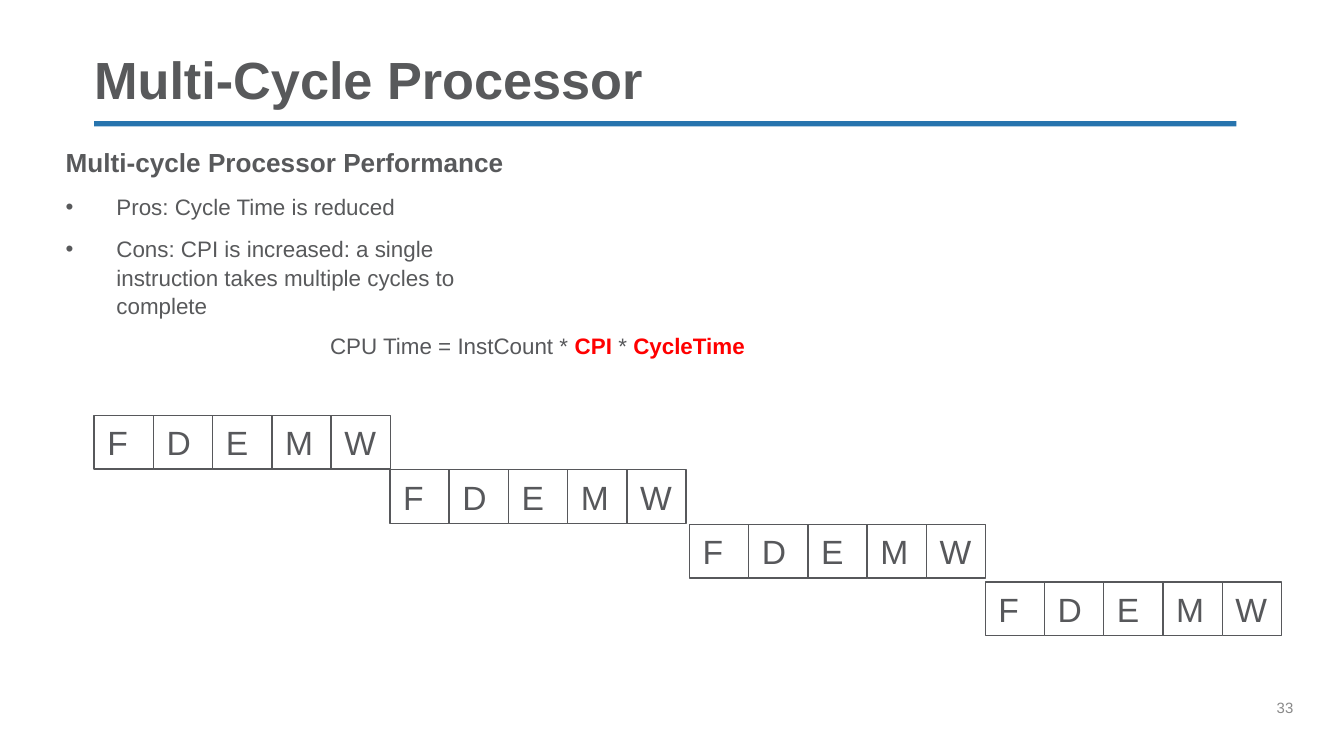
from lxml.etree import SubElement
from pptx import Presentation
from pptx.dml.color import RGBColor
from pptx.enum.shapes import MSO_SHAPE
from pptx.enum.text import MSO_ANCHOR, MSO_AUTO_SIZE, PP_ALIGN
from pptx.oxml.ns import qn
from pptx.util import Cm, Pt

COLOURS = {
    "heading": "58595B",
    "text": "57585B",
    "accent": "FF0000",
    "rule": "2774AE",
    "number": "898989",
    "cell": "FFFFFF",
}


def style_font(font, size, colour, bold=False):
    font.name = "Arial"
    font.size = Pt(size)
    font.bold = bold
    font.color.rgb = RGBColor.from_string(COLOURS[colour])


def place(shape, left, top, width, height, insets=None):
    shape.left, shape.top = Cm(left), Cm(top)
    shape.width, shape.height = Cm(width), Cm(height)
    frame = shape.text_frame
    frame.word_wrap = True
    frame.auto_size = MSO_AUTO_SIZE.NONE
    if insets is not None:
        frame.margin_left = frame.margin_top = Cm(insets)
        frame.margin_right = frame.margin_bottom = Cm(insets)
    return frame


deck = Presentation()
deck.slide_width, deck.slide_height = Cm(25.4), Cm(14.29)
page = deck.slides.add_slide(deck.slide_layouts[1])
title, body = page.placeholders

# Title with the rule below it
frame = place(title, 1.78, 1.02, 21.59, 1.07, insets=0)
frame.vertical_anchor = MSO_ANCHOR.BOTTOM
frame.text = "Multi-Cycle Processor"
para = frame.paragraphs[0]
para.alignment = PP_ALIGN.LEFT
para.line_spacing = 0.9
style_font(para.runs[0].font, 28, "heading", bold=True)

rule = page.shapes.add_shape(MSO_SHAPE.RECTANGLE, Cm(1.78), Cm(2.29), Cm(21.59), Cm(0.1))
rule.shadow.inherit = False
rule.fill.solid()
rule.fill.fore_color.rgb = RGBColor.from_string(COLOURS["rule"])
rule.line.fill.background()

# Performance heading and bullets
frame = place(body, 1.24, 2.74, 8.86, 3.23, insets=0)
frame.text = "\n".join([
    "Multi-cycle Processor Performance",
    "Pros: Cycle Time is reduced",
    "Cons: CPI is increased: a single instruction takes multiple cycles to complete",
])
for index, para in enumerate(frame.paragraphs):
    is_heading = index == 0
    indent = 0 if is_heading else Cm(0.96)
    properties = para._p.get_or_add_pPr()
    properties.set("marL", str(indent))
    properties.set("indent", str(-indent))
    if is_heading:
        SubElement(properties, qn("a:buNone"))
    else:
        SubElement(properties, qn("a:buChar"), char="•")
    para.line_spacing = 1.05
    para.space_before = Pt(0 if is_heading else 7.5)
    style_font(para.runs[0].font, 14 if is_heading else 12, "heading", bold=is_heading)

# CPU time formula
formula = page.shapes.add_textbox(0, 0, 0, 0)
para = place(formula, 5.99, 6.15, 12.7, 0.76).paragraphs[0]
for text, is_accent in [
    ("CPU Time = InstCount * ", False),
    ("CPI", True),
    (" * ", False),
    ("CycleTime", True),
]:
    span = para.add_run()
    span.text = text
    style_font(span.font, 12, "accent" if is_accent else "text", bold=is_accent)

# Pipeline stages, one group per instruction
cell_width, cell_height = 1.12, 1.02
for left, top in [(1.78, 7.85), (7.37, 8.88), (13.03, 9.91), (18.62, 11)]:
    instruction = page.shapes.add_group_shape()
    for column, stage in enumerate("FDEMW"):
        box = instruction.shapes.add_shape(MSO_SHAPE.RECTANGLE, 0, 0, 0, 0)
        frame = place(box, left + column * cell_width, top, cell_width, cell_height)
        box.shadow.inherit = False
        box.fill.solid()
        box.fill.fore_color.rgb = RGBColor.from_string(COLOURS["cell"])
        box.line.color.rgb = RGBColor.from_string(COLOURS["text"])
        box.line.width = Pt(0.75)
        frame.vertical_anchor = MSO_ANCHOR.MIDDLE
        frame.word_wrap = False
        frame.text = stage
        para = frame.paragraphs[0]
        para.alignment = PP_ALIGN.LEFT
        style_font(para.runs[0].font, 18, "text")

# Page number
number = page.shapes.add_textbox(0, 0, 0, 0)
frame = place(number, 24.13, 13.21, 1.27, 1.02, insets=0)
frame.text = "33"
style_font(frame.paragraphs[0].runs[0].font, 8, "number")

deck.save("out.pptx")
